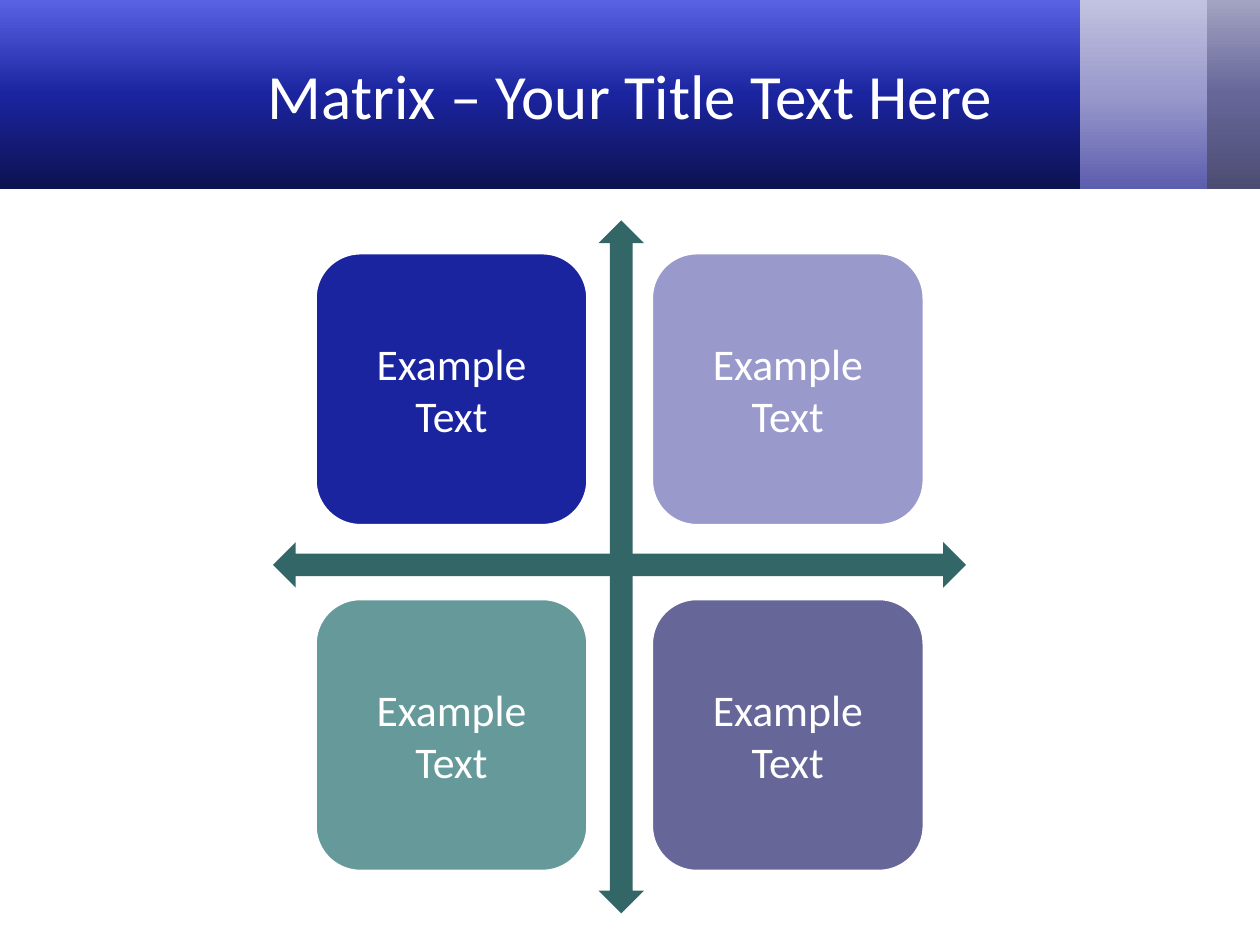
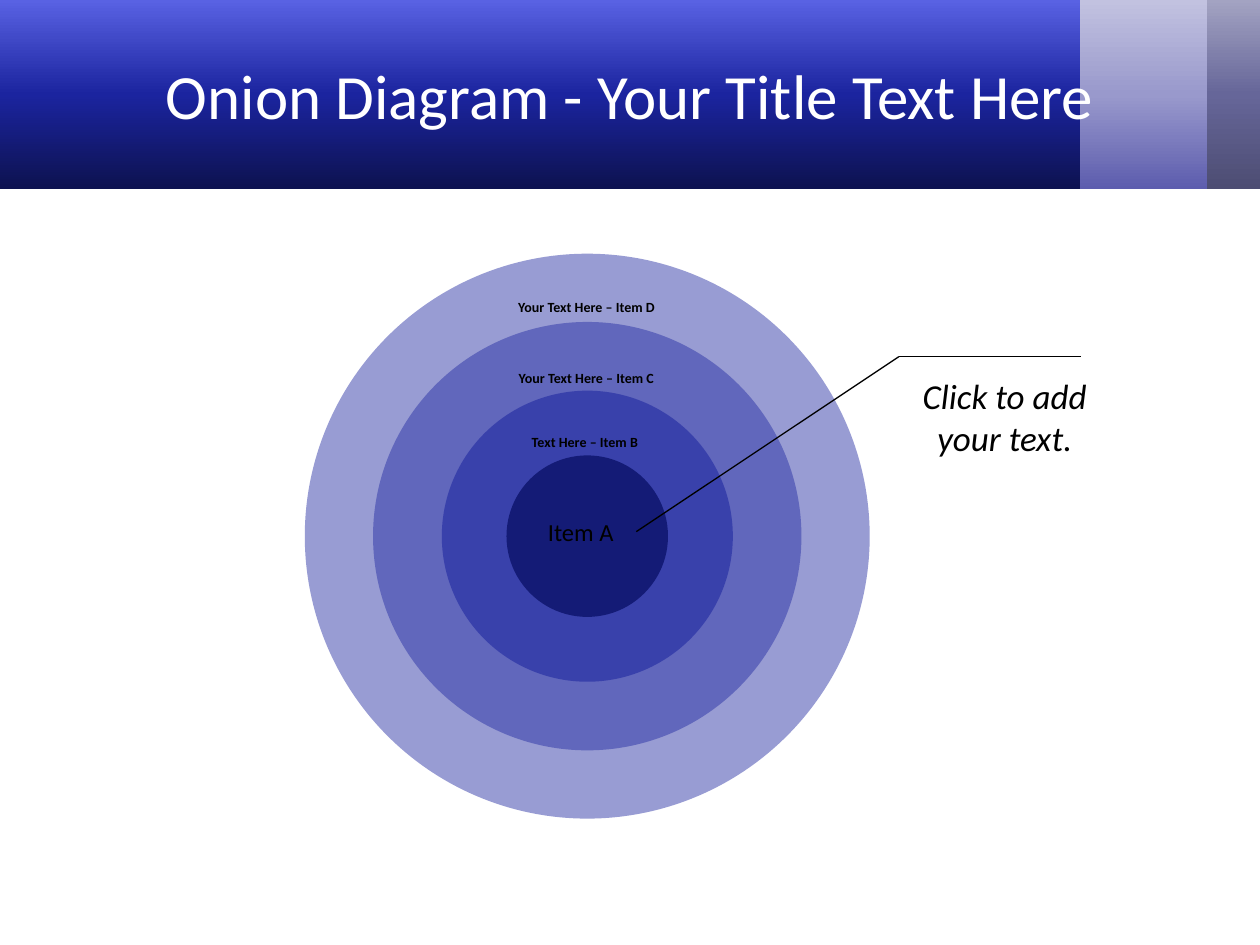
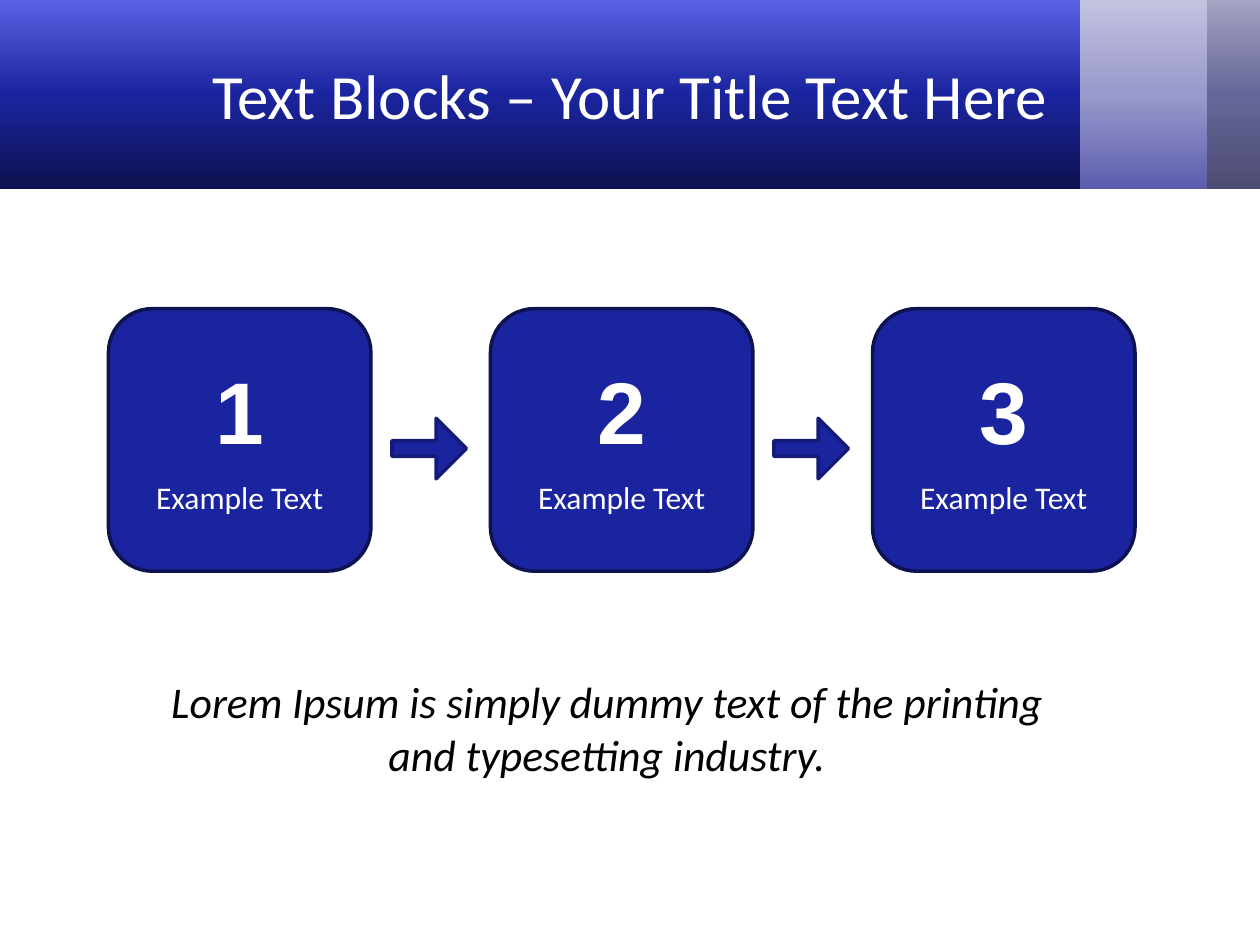
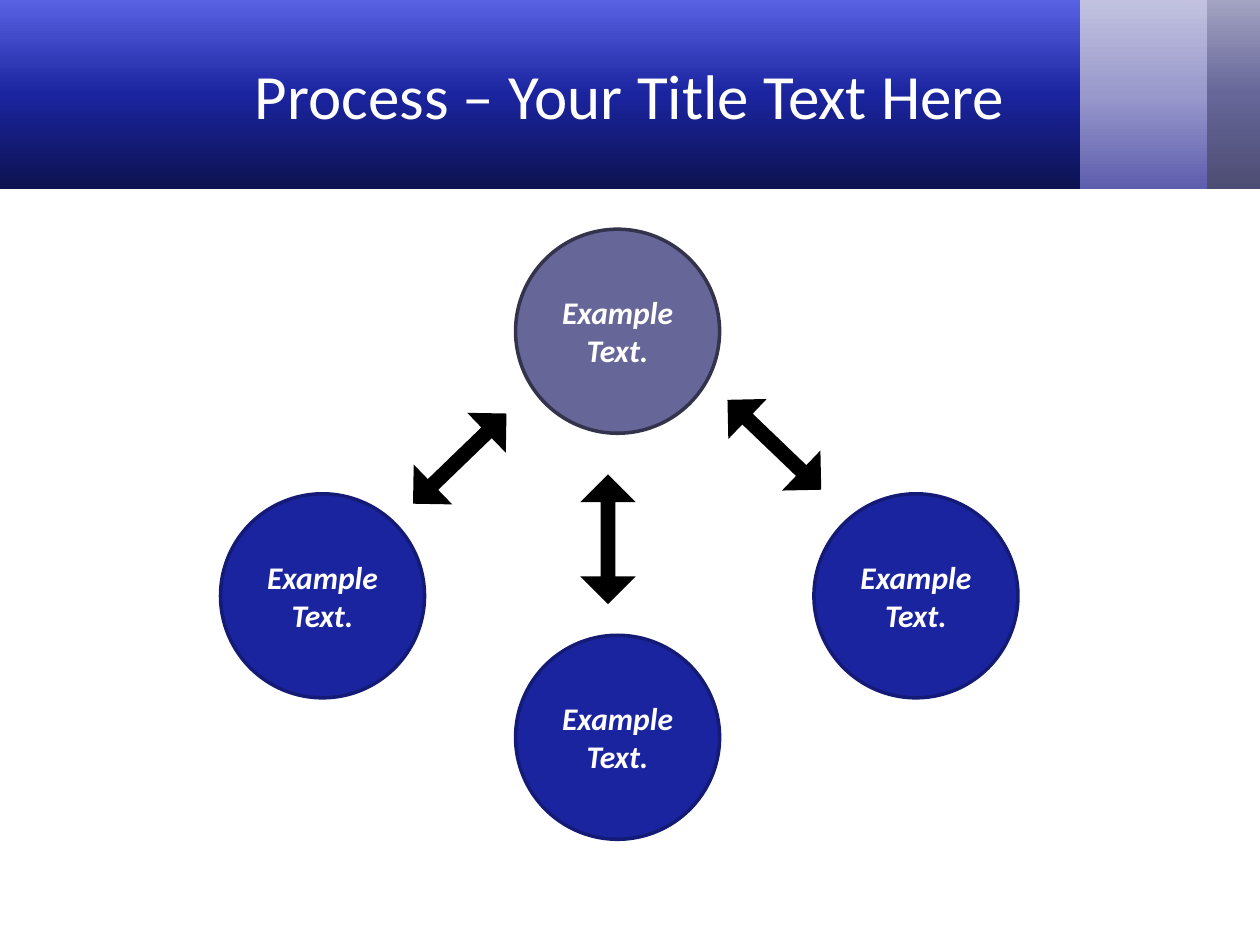
from copy import deepcopy
from dataclasses import dataclass

from lxml.etree import SubElement
from pptx import Presentation
from pptx.dml.color import RGBColor
from pptx.enum.shapes import MSO_CONNECTOR, MSO_SHAPE as SHAPE
from pptx.enum.text import MSO_ANCHOR as ANCHOR, PP_ALIGN as ALIGN
from pptx.oxml.ns import qn
from pptx.util import Pt


@dataclass(frozen=True)
class Theme:
    white: str = "FFFFFF"
    black: str = "000000"
    blue: str = "1B249F"
    navy: str = "141B76"
    midnight: str = "0D1250"
    lilac: str = "9999CC"
    slate: str = "666699"
    slate_edge: str = "33334C"
    sage: str = "669999"
    pine: str = "336666"
    font: str = "Calibri"
    number_font: str = "Arial"
    title: float = 36
    number: float = 50
    large: float = 25
    callout: float = 20
    body: float = 18
    core: float = 14
    small: float = 8
    edge: float = 2
    hairline: float = 0.75


THEME = Theme()

# Content. Boxes are (left, top, width, height) in points.
TITLES = {
    "matrix": "Matrix – Your Title Text Here",
    "onion": "Onion Diagram - Your Title Text Here",
    "blocks": "Text Blocks – Your Title Text Here",
    "process": "Process – Your Title Text Here",
}
# Header bands from back to front: left, width, colours from bottom to top
BANDS = [
    (679, 41, ("4D4D73", THEME.slate, "A3A3C2")),
    (614.3, 75.5, ("5D5DAE", THEME.lilac, "C2C2E0")),
    (0, 617.1, (THEME.midnight, THEME.blue, "5962E3")),
]
BAND_HEIGHT = 108
TITLE_BOX = (36, 6, 648, 96)

QUADRANTS = [
    ("Example Text", THEME.blue),
    ("Example Text", THEME.lilac),
    ("Example Text", THEME.sage),
    ("Example Text", THEME.slate),
]
# Diameter, colour, opacity in percent
RINGS = [
    (322.8, THEME.blue, 45),
    (244.8, THEME.blue, 44),
    (166.3, THEME.blue, 56),
    (92.3, THEME.navy, 100),
]
RING_LABELS = [
    ("Your Text Here – Item D", (252.7, 167, 165, 86)),
    ("Your Text Here – Item C", (268.6, 207.4, 133, 73)),
    ("Text Here – Item B", (285, 244.1, 98.6, 84)),
]
CORE_LABEL = ("Item A", (306, 288, 56, 28))
CALLOUT = ("Click to add your text.", (516.2, 210.2, 116, 55.4))
CALLOUT_LINE = [(363.6, 303.8), (513.7, 203.8), (617.8, 203.8)]

BLOCKS = [("1", "Example Text"), ("2", "Example Text"), ("3", "Example Text")]
BLOCKS_NOTE = (
    "Lorem Ipsum is simply dummy text of the printing and typesetting industry.",
    (85.7, 382.3, 522, 67.7),
)
# Text, left, top, fill, edge
CIRCLES = [
    ("Example Text.", 294.6, 131, THEME.slate, THEME.slate_edge),
    ("Example Text.", 465.1, 282.2, THEME.blue, THEME.navy),
    ("Example Text.", 294.6, 363, THEME.blue, THEME.navy),
    ("Example Text.", 126, 282.2, THEME.blue, THEME.navy),
]
# Left, top, rotation
PROCESS_ARROWS = [(310.3, 292.3, 90), (225.6, 246.2, 136), (405.4, 238.3, 223.8)]


def rgb(color):
    return RGBColor.from_string(color)


def write(shape, text, size, color=THEME.white, font=THEME.font, bold=None,
          italic=None, align=ALIGN.CENTER, anchor=ANCHOR.MIDDLE, inset_top=3.6):
    frame = shape.text_frame
    frame.word_wrap = True
    frame.vertical_anchor = anchor
    frame.margin_top = Pt(inset_top)
    para = frame.paragraphs[0]
    para.text = text
    para.alignment = align
    para.font.name, para.font.size = font, Pt(size)
    para.font.bold, para.font.italic = bold, italic
    para.font.color.rgb = rgb(color)


def add_label(page, text, box, size, **style):
    """Add a text box anchored to its top unless the style says otherwise."""
    label = page.shapes.add_textbox(*map(Pt, box))
    write(label, text, size, **{"anchor": ANCHOR.TOP, **style})


def add_figure(page, kind, box, fill=None, edge=None, rotation=0, adjust=None):
    figure = page.shapes.add_shape(kind, *map(Pt, box))
    figure.shadow.inherit = False
    figure.rotation = rotation
    if adjust is not None:
        figure.adjustments[0] = adjust
    if fill:
        figure.fill.solid()
        figure.fill.fore_color.rgb = rgb(fill)
    if edge:
        figure.line.color.rgb = rgb(edge)
        figure.line.width = Pt(THEME.edge)
    else:
        figure.line.fill.background()
    return figure


def set_gradient(figure, colors):
    """Spread the colours evenly from the bottom edge to the top."""
    figure.fill.gradient()
    figure.fill.gradient_angle = 90
    stop_list = figure._element.spPr.find(".//" + qn("a:gsLst"))
    while len(stop_list) < len(colors):
        stop_list.append(deepcopy(stop_list[0]))
    for index, stop in enumerate(figure.fill.gradient_stops):
        stop.position = index / (len(colors) - 1)
        stop.color.rgb = rgb(colors[index])


def set_opacity(figure, percent):
    color = figure._element.spPr.find(qn("a:solidFill"))[0]
    SubElement(color, qn("a:alpha"), val=str(percent * 1000))


def add_line(page, start, end):
    line = page.shapes.add_connector(MSO_CONNECTOR.STRAIGHT, *map(Pt, start + end))
    line.line.color.rgb = rgb(THEME.black)
    line.line.width = Pt(THEME.hairline)
    SubElement(line._element.spPr, qn("a:effectLst"))


def add_page(deck, title):
    """Add a blank slide with the header bands and the title."""
    page = deck.slides.add_slide(deck.slide_layouts[6])
    for left, width, colors in BANDS:
        band = add_figure(page, SHAPE.RECTANGLE, (left, 0, width, BAND_HEIGHT))
        set_gradient(band, colors)
    add_label(page, title, TITLE_BOX, THEME.title, anchor=ANCHOR.MIDDLE)
    return page


def build_matrix(page):
    side, left, top, step_x, step_y = 156, 180, 144.4, 192.2, 197.6
    for index, (text, fill) in enumerate(QUADRANTS):
        row, column = divmod(index, 2)
        box = (left + column * step_x, top + row * step_y, side, side)
        quadrant = add_figure(page, SHAPE.ROUNDED_RECTANGLE, box, fill, THEME.white)
        write(quadrant, text, THEME.large)
    for arrow_left, arrow_top, rotation in [(157, 311, 90), (156, 309.8, 0)]:
        add_figure(page, SHAPE.LEFT_RIGHT_ARROW, (arrow_left, arrow_top, 396, 26),
                   THEME.pine, rotation=rotation)


def build_onion(page):
    center_x, center_y = 335.6, 306.4
    for diameter, fill, opacity in RINGS:
        box = (center_x - diameter / 2, center_y - diameter / 2, diameter, diameter)
        set_opacity(add_figure(page, SHAPE.OVAL, box, fill), opacity)
    for text, box in RING_LABELS:
        add_label(page, text, box, THEME.small, color=THEME.black, bold=True)
    add_label(page, *CORE_LABEL, THEME.core, color=THEME.black,
              align=ALIGN.JUSTIFY, anchor=ANCHOR.MIDDLE, inset_top=7.2)
    for start, end in zip(CALLOUT_LINE, CALLOUT_LINE[1:]):
        add_line(page, start, end)
    add_label(page, *CALLOUT, THEME.callout, color=THEME.black, italic=True)


def build_blocks(page):
    side, first_left, step = 150, 62, 218.3
    for index, (number, text) in enumerate(BLOCKS):
        left = first_left + index * step
        block = add_figure(page, SHAPE.ROUNDED_RECTANGLE, (left, 176.4, side, side),
                           THEME.blue, THEME.midnight)
        write(block, text, THEME.body, inset_top=69)
        add_label(page, number, (left + 46, 200.2, 58.3, 67.7), THEME.number,
                  font=THEME.number_font, bold=True)
        if index < len(BLOCKS) - 1:
            add_figure(page, SHAPE.RIGHT_ARROW, (left + 162, 239, 42.5, 34.6),
                       THEME.blue, THEME.navy, adjust=0.26)
    add_label(page, *BLOCKS_NOTE, THEME.large, color=THEME.black, italic=True)


def build_process(page):
    diameter = 116.6
    for text, left, top, fill, edge in CIRCLES:
        circle = add_figure(page, SHAPE.OVAL, (left, top, diameter, diameter), fill, edge)
        write(circle, text, THEME.body, bold=True, italic=True)
    for left, top, rotation in PROCESS_ARROWS:
        add_figure(page, SHAPE.LEFT_RIGHT_ARROW, (left, top, 74.2, 31.7),
                   THEME.black, rotation=rotation, adjust=0.27)


def main():
    deck = Presentation()
    deck.slide_width, deck.slide_height = Pt(720), Pt(540)
    builders = {
        "matrix": build_matrix,
        "onion": build_onion,
        "blocks": build_blocks,
        "process": build_process,
    }
    for name, build in builders.items():
        build(add_page(deck, TITLES[name]))
    deck.save("out.pptx")


if __name__ == "__main__":
    main()
